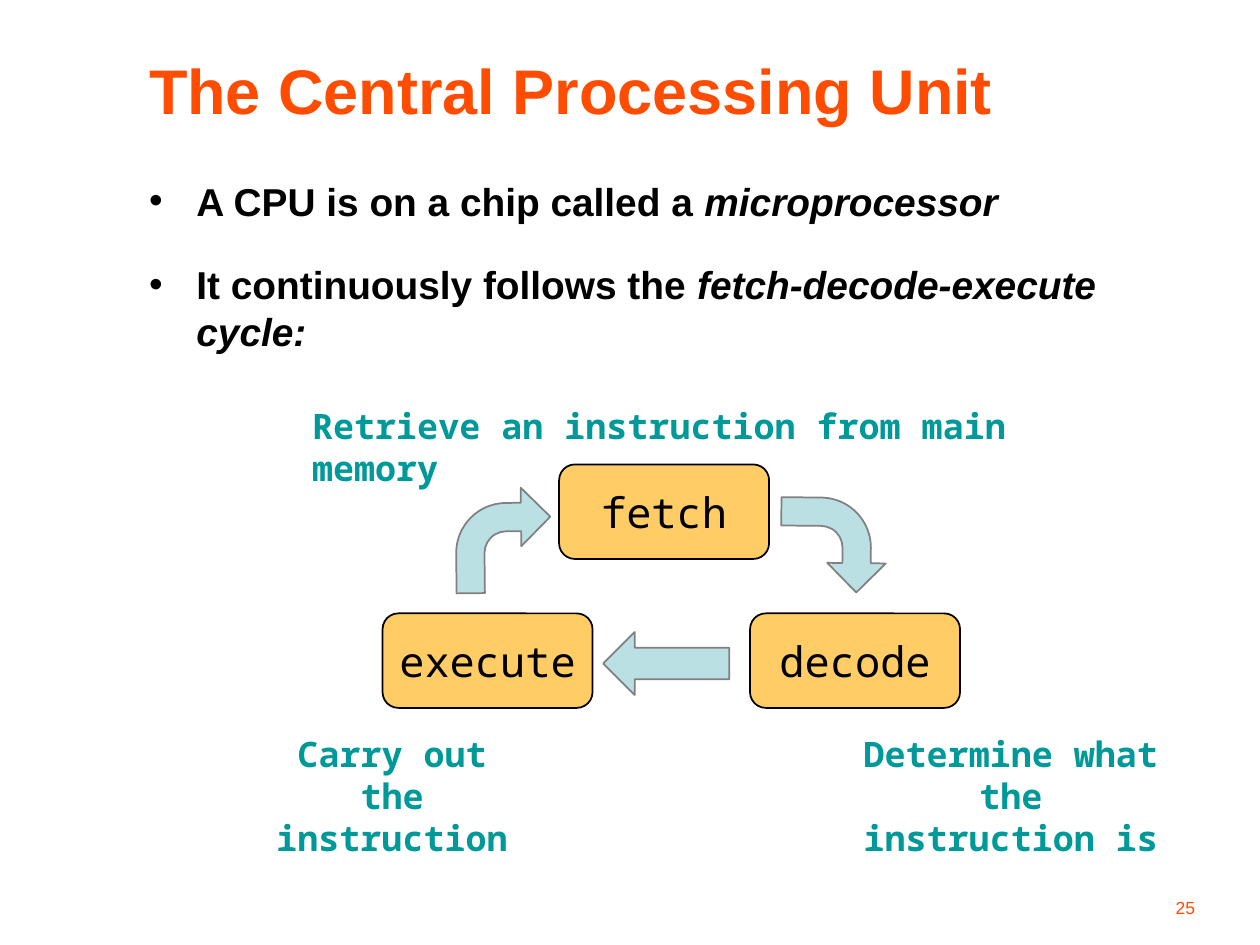
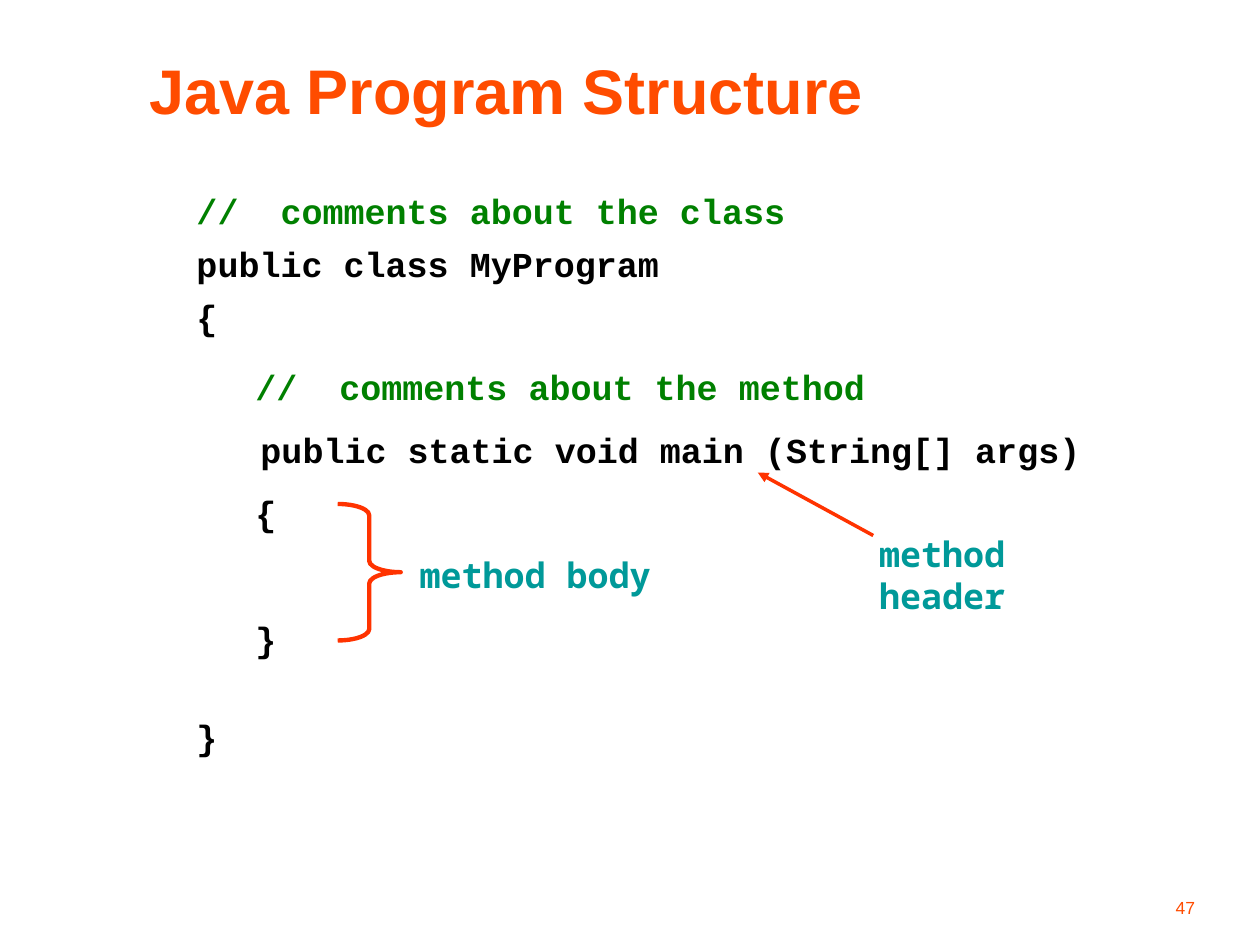
"""Build two lecture slides: the CPU cycle and the structure of a Java program."""
from lxml.etree import SubElement
from pptx import Presentation
from pptx.dml.color import RGBColor
from pptx.enum.shapes import MSO_CONNECTOR, MSO_SHAPE
from pptx.enum.text import MSO_ANCHOR, MSO_AUTO_SIZE, PP_ALIGN
from pptx.oxml.ns import qn
from pptx.util import Pt

ORANGE, BLACK, TEAL, GREEN = "FF4C00", "000000", "009999", "008000"
SAND, ICE, GRAY, RED = "FFCC66", "BBE0E3", "808080", "FF3300"
SANS, MONO, CODE = "Arial", "Noto Sans Mono", "Courier New"


def style_font(font, name, size, color, bold=False):
    font.name = name
    font.size = Pt(size)
    font.bold = bold
    font.color.rgb = RGBColor.from_string(color)


def add_label(slide, text, box, font_name, color, align=PP_ALIGN.LEFT, gap=0):
    frame = slide.shapes.add_textbox(*map(Pt, box)).text_frame
    frame.word_wrap = True
    frame.margin_top = Pt(6)
    frame.text = text
    for index, paragraph in enumerate(frame.paragraphs):
        paragraph.alignment = align
        paragraph.line_spacing = Pt(24)
        paragraph.space_before = Pt(gap if index else 0)
        style_font(paragraph.runs[0].font, font_name, 20, color, True)


prs = Presentation()
prs.slide_width, prs.slide_height = Pt(720), Pt(540)

cpu_slide = prs.slides.add_slide(prs.slide_layouts[1])
java_slide = prs.slides.add_slide(prs.slide_layouts[5])
for slide, heading, number in (
    (cpu_slide, "The Central Processing Unit", "25"),
    (java_slide, "Java Program Structure", "47"),
):
    title = slide.shapes.title
    title.left, title.top, title.width, title.height = map(Pt, (78, 24, 624, 54))
    title.text_frame.text = heading
    title.text_frame.vertical_anchor = MSO_ANCHOR.MIDDLE
    title.text_frame.auto_size = MSO_AUTO_SIZE.NONE
    heading_line = title.text_frame.paragraphs[0]
    heading_line.alignment = PP_ALIGN.LEFT
    style_font(heading_line.runs[0].font, SANS, 36, ORANGE, True)

    footer = slide.shapes.add_textbox(*map(Pt, (540, 498, 150, 30))).text_frame
    footer.word_wrap = True
    footer.vertical_anchor = MSO_ANCHOR.BOTTOM
    footer.text = number
    footer.paragraphs[0].alignment = PP_ALIGN.RIGHT
    style_font(footer.paragraphs[0].runs[0].font, SANS, 10, ORANGE)

body = cpu_slide.placeholders[1]
body.left, body.top, body.width, body.height = map(Pt, (78, 96, 624, 87))
facts = body.text_frame
facts.auto_size = MSO_AUTO_SIZE.NONE
facts.margin_top = Pt(5.2)
facts.text = "A CPU is on a chip called a \nIt continuously follows the "
for fact, term, gap in zip(
    facts.paragraphs, ("microprocessor", "fetch-decode-execute cycle:"), (0, 21)
):
    fact.add_run().text = term
    fact.line_spacing = Pt(26.7)
    fact.space_before = Pt(gap)
    properties = fact._p.get_or_add_pPr()
    properties.set("marL", str(Pt(27)))
    properties.set("indent", str(-Pt(27)))
    for run in fact.runs:
        style_font(run.font, SANS, 22.2, BLACK, True)
    fact.runs[1].font.italic = True

for kind, box, rotation, adjustments in (
    (MSO_SHAPE.BENT_ARROW, (260.6, 278.8, 54, 60), 359.4, (0.3, 0.31, 0.31, 0.53)),
    (MSO_SHAPE.BENT_ARROW, (449.3, 281.4, 54, 60), 90.6, (0.3, 0.31, 0.31, 0.53)),
    (MSO_SHAPE.LEFT_ARROW, (344.7, 361.2, 72, 36), 0, (0.5, 0.5)),
):
    arrow = cpu_slide.shapes.add_shape(kind, *map(Pt, box))
    arrow.rotation = rotation
    arrow.shadow.inherit = False
    for index, value in enumerate(adjustments):
        arrow.adjustments[index] = value
    arrow.fill.solid()
    arrow.fill.fore_color.rgb = RGBColor.from_string(ICE)
    arrow.line.color.rgb = RGBColor.from_string(GRAY)
    arrow.line.width = Pt(1)

for name, left, top in (
    ("fetch", 319.5, 265.4),
    ("decode", 428.6, 350.5),
    ("execute", 218.6, 350.5),
):
    step = cpu_slide.shapes.add_shape(
        MSO_SHAPE.ROUNDED_RECTANGLE, Pt(left), Pt(top), Pt(120), Pt(54)
    )
    step.shadow.inherit = False
    step.fill.solid()
    step.fill.fore_color.rgb = RGBColor.from_string(SAND)
    step.line.color.rgb = RGBColor.from_string(BLACK)
    step.line.width = Pt(1)
    step.text_frame.word_wrap = False
    step.text_frame.vertical_anchor = MSO_ANCHOR.MIDDLE
    step.text_frame.text = name
    step.text_frame.paragraphs[0].alignment = PP_ALIGN.CENTER
    style_font(step.text_frame.paragraphs[0].runs[0].font, MONO, 24, BLACK)

for text, box, align in (
    ("Retrieve an instruction from main memory", (171.3, 225, 445, 32), PP_ALIGN.LEFT),
    ("Determine what the\ninstruction is", (469.2, 412.6, 217, 56), PP_ALIGN.CENTER),
    ("Carry out the\ninstruction", (150.6, 412.6, 147, 56), PP_ALIGN.CENTER),
):
    add_label(cpu_slide, text, box, MONO, TEAL, align)

for text, box, color, gap in (
    ("//  comments about the class", (105.2, 102.2, 351, 32), GREEN, 0),
    ("public class MyProgram", (105.2, 132.5, 279, 32), BLACK, 0),
    ("{\n}", (105.2, 162.7, 27, 271), BLACK, 9 * 24),
    ("//  comments about the method", (138.8, 203, 363, 32), GREEN, 0),
    ("public static void main (String[] args)", (141.8, 239, 484, 32), BLACK, 0),
    ("{\n}", (138.8, 275, 27, 104), BLACK, 2 * 24),
):
    add_label(java_slide, text, box, CODE, color, gap=gap)

add_label(java_slide, "method header", (495.2, 298, 168, 32), MONO, TEAL)
add_label(java_slide, "method body", (232.7, 310.2, 147, 32), MONO, TEAL)

body_brace = java_slide.shapes.add_shape(
    MSO_SHAPE.RIGHT_BRACE, Pt(193), Pt(288), Pt(36), Pt(78)
)
body_brace.shadow.inherit = False
body_brace.adjustments[0] = 0.18
body_brace.fill.background()
body_brace.line.color.rgb = RGBColor.from_string(RED)
body_brace.line.width = Pt(2.5)

header_pointer = java_slide.shapes.add_connector(
    MSO_CONNECTOR.STRAIGHT, Pt(499), Pt(306), Pt(433), Pt(270)
)
header_pointer.line.color.rgb = RGBColor.from_string(RED)
header_pointer.line.width = Pt(2)
SubElement(header_pointer.line._get_or_add_ln(), qn("a:tailEnd"), type="triangle")
SubElement(header_pointer._element.spPr, qn("a:effectLst"))

prs.save("out.pptx")
